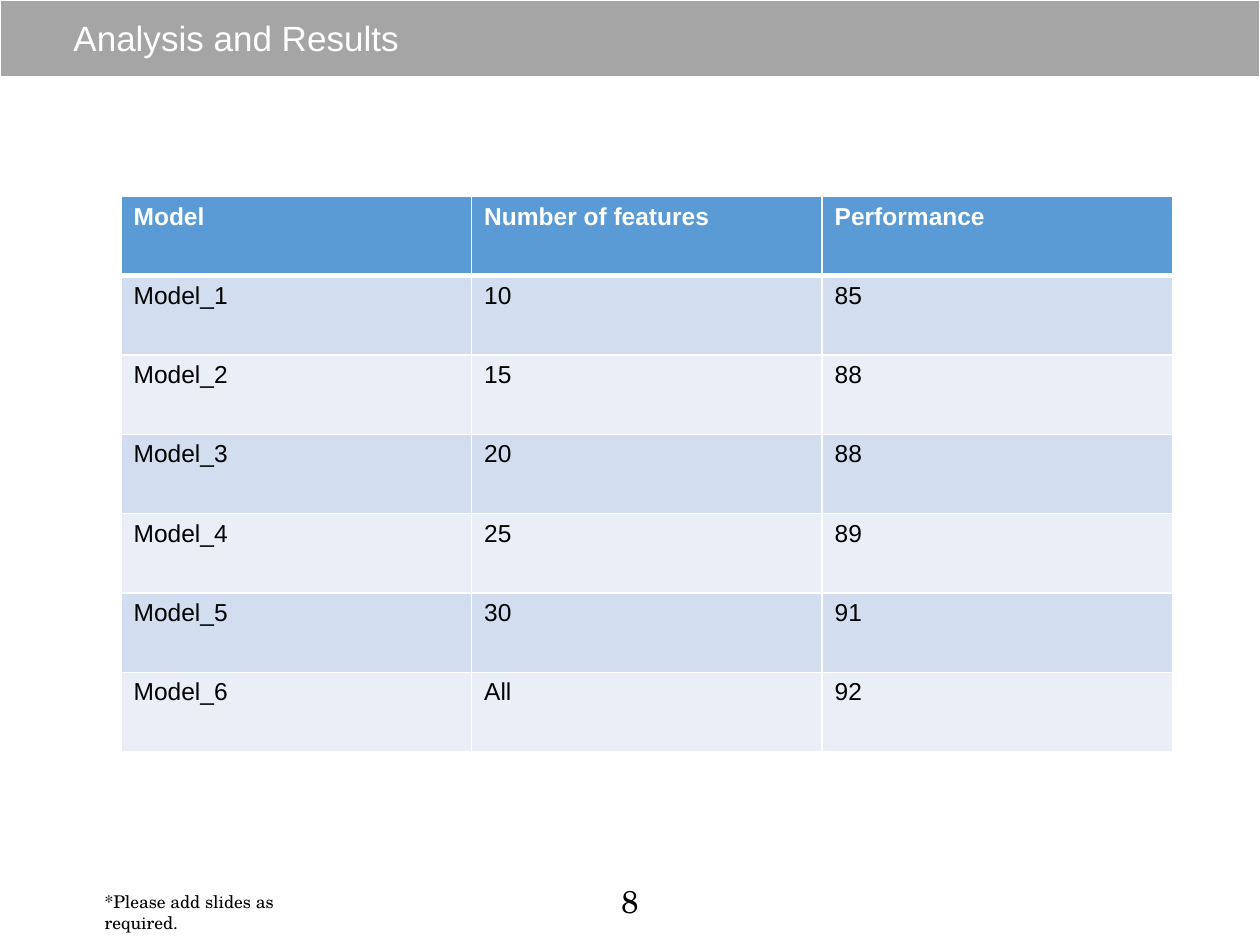
from lxml.etree import SubElement
from pptx import Presentation
from pptx.dml.color import RGBColor
from pptx.enum.shapes import MSO_SHAPE as Shape
from pptx.enum.text import MSO_ANCHOR as Anchor, PP_ALIGN as Align
from pptx.oxml.ns import qn
from pptx.util import Cm, Pt

WHITE = RGBColor(0xFF, 0xFF, 0xFF)
BLACK = RGBColor(0, 0, 0)
GRAY = RGBColor(0xA5, 0xA5, 0xA5)
BLUE = RGBColor(0x5B, 0x9B, 0xD5)
BANDS = RGBColor(0xD2, 0xDE, 0xEF), RGBColor(0xEA, 0xEF, 0xF7)
SANS, SERIF = "Arial", "TeX Gyre Schola"

HEADINGS = ("Model", "Number of features", "Performance")
RESULTS = [
    ("Model_1", "10", "85"),
    ("Model_2", "15", "88"),
    ("Model_3", "20", "88"),
    ("Model_4", "25", "89"),
    ("Model_5", "30", "91"),
    ("Model_6", "All", "92"),
]


def add_run(para, text, font, size, color, bold=False):
    span = para.add_run()
    span.text = text
    span.font.name = font
    span.font.size = Pt(size)
    span.font.color.rgb = color
    span.font.bold = bold


def set_insets(frame):
    frame.margin_left = frame.margin_right = Cm(0.13)
    frame.margin_top = frame.margin_bottom = Cm(0.13)
    frame.word_wrap = True


def add_header(page, left, top, width, height):
    bar = page.shapes.add_shape(Shape.RECTANGLE, left, top, width, height)
    bar.shadow.inherit = False
    bar.fill.solid()
    bar.fill.fore_color.rgb = GRAY
    bar.line.color.rgb = WHITE
    bar.line.width = Pt(1.5)

    title = page.shapes.title
    title.element.addprevious(bar.element)
    title.left, title.top = left + Cm(1.35), top + Cm(0.05)
    title.width, title.height = Cm(19.48), height - Cm(0.07)
    frame = title.text_frame
    set_insets(frame)
    frame.vertical_anchor = Anchor.MIDDLE
    para = frame.paragraphs[0]
    para.alignment = Align.LEFT
    para.line_spacing = 0.9
    add_run(para, "Analysis and Results", SANS, 20, WHITE)


def set_borders(cell, bottom):
    properties = cell._tc.get_or_add_tcPr()
    for side, width in (("L", 1), ("R", 1), ("T", 1), ("B", bottom)):
        line = SubElement(properties, qn(f"a:ln{side}"), w=str(Pt(width)))
        fill = SubElement(line, qn("a:solidFill"))
        SubElement(fill, qn("a:srgbClr"), val=str(WHITE))


def add_results(page, left, top, width, height):
    rows = [HEADINGS, *RESULTS]
    table = page.shapes.add_table(
        len(rows), len(HEADINGS), left, top, width, height
    ).table
    for index, values in enumerate(rows):
        heading = index == 0
        for column, text in enumerate(values):
            cell = table.cell(index, column)
            set_borders(cell, 3 if heading else 1)
            cell.fill.solid()
            cell.fill.fore_color.rgb = BLUE if heading else BANDS[(index - 1) % 2]
            color = WHITE if heading else BLACK
            add_run(cell.text_frame.paragraphs[0], text, SANS, 14, color, heading)


def add_note(page, text, size, align, left, top, width, height):
    box = page.shapes.add_textbox(left, top, width, height)
    set_insets(box.text_frame)
    para = box.text_frame.paragraphs[0]
    para.alignment = align
    add_run(para, text, SERIF, size, BLACK)


def add_footer(page, left, top, width, height):
    number_width = Cm(0.66)
    add_note(page, "8", 18, Align.CENTER,
             left + (width - number_width) // 2, top, number_width, height)
    add_note(page, "*Please add slides as required.", 10, Align.LEFT,
             left + Cm(1.98), top + Cm(0.18), Cm(5), Cm(0.64))


def main():
    deck = Presentation()
    deck.slide_width, deck.slide_height = Cm(25.4), Cm(19.05)
    page = deck.slides.add_slide(deck.slide_layouts[5])
    add_header(page, 0, 0, deck.slide_width, Cm(1.57))
    add_results(page, Cm(2.44), Cm(3.96), Cm(21.2), Cm(11.2))
    add_footer(page, 0, Cm(17.65), deck.slide_width, Cm(0.99))
    deck.save("out.pptx")


if __name__ == "__main__":
    main()
